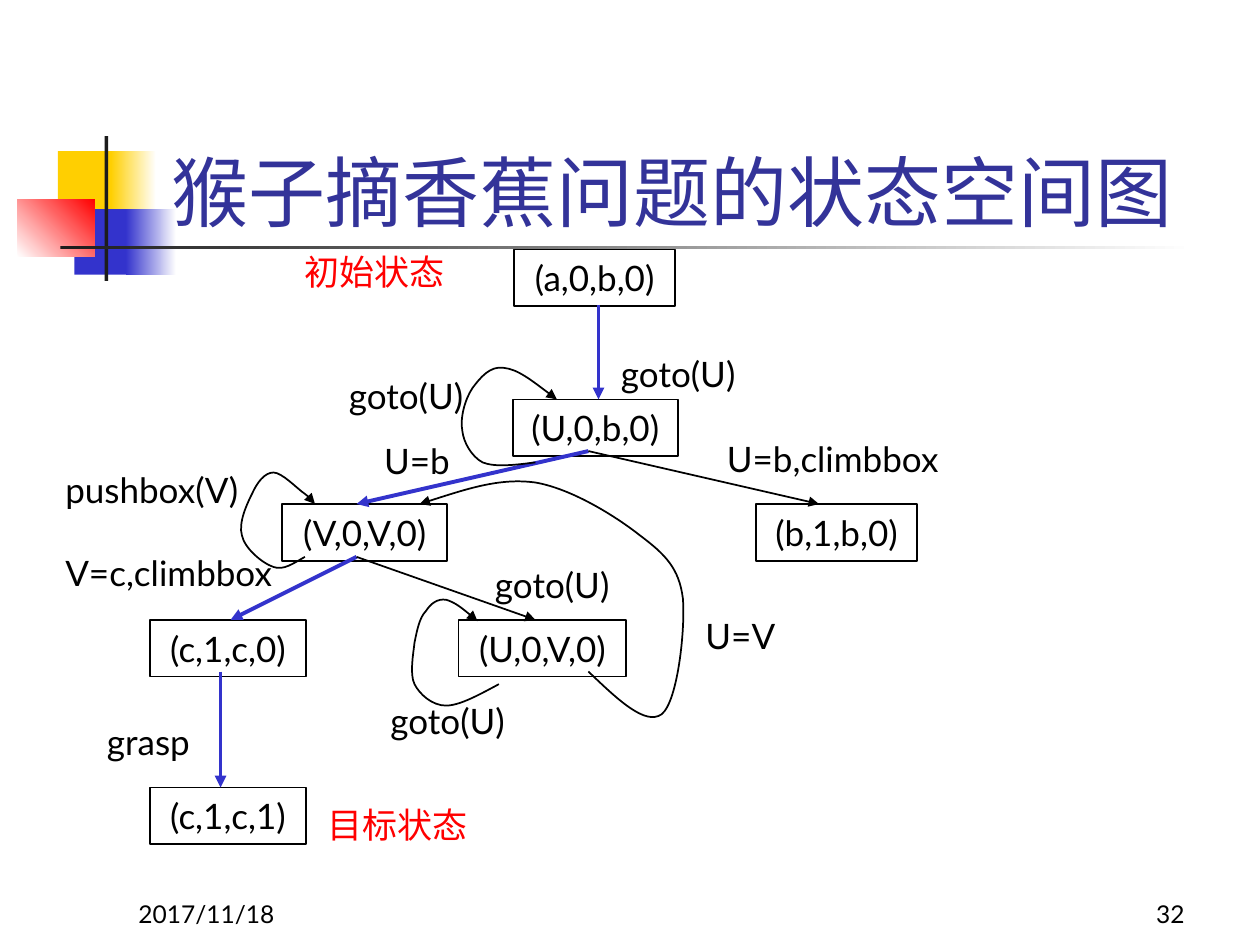
from lxml.etree import SubElement
from pptx import Presentation
from pptx.dml.color import RGBColor
from pptx.enum.shapes import MSO_CONNECTOR, MSO_SHAPE
from pptx.enum.text import MSO_ANCHOR, MSO_AUTO_SIZE, PP_ALIGN
from pptx.oxml.ns import qn
from pptx.util import Cm, Pt

FONT = "Lato"
BLACK = RGBColor(0x00, 0x00, 0x00)
WHITE = RGBColor(0xFF, 0xFF, 0xFF)
RED = RGBColor(0xFF, 0x00, 0x00)
BLUE = RGBColor(0x33, 0x33, 0xCC)
NAVY = RGBColor(0x33, 0x33, 0x99)
YELLOW = RGBColor(0xFF, 0xCF, 0x01)
CHARCOAL = RGBColor(0x1C, 0x1C, 0x1C)

# Blocks of the title ornament: left, top, width, height, colours, angle
ORNAMENT = [
    (0.32, 0.12, 0.48, 0.52, (YELLOW,), 0),
    (0.74, 0.12, 0.36, 0.52, (YELLOW, WHITE), 0),
    (0.45, 0.58, 0.46, 0.52, (BLUE,), 0),
    (0.86, 0.58, 0.4, 0.52, (BLUE, WHITE), 0),
    (0, 0.5, 0.61, 0.46, (WHITE, RED), 45),
    (0.69, 0, 0.03, 1.15, (CHARCOAL,), 0),
    (0.34, 0.87, 9, 0.03, (CHARCOAL, WHITE), 0),
]

# States of the graph: text, left, top, width
NODE_HEIGHT = 0.45
NODES = [
    ("(a,0,b,0)", 4.08, -0.02, 1.28),
    ("(U,0,b,0)", 4.07, 1.17, 1.31),
    ("(V,0,V,0)", 2.24, 2, 1.31),
    ("(b,1,b,0)", 6, 2, 1.28),
    ("(c,1,c,0)", 1.19, 2.92, 1.24),
    ("(U,0,V,0)", 3.64, 2.92, 1.33),
    ("(c,1,c,1)", 1.19, 4.25, 1.24),
]

# Straight moves: start, end; the first group leads to the goal
GOAL_MOVES = [
    ((4.75, 0.42), (4.75, 1.17)),
    ((4.67, 1.58), (2.83, 2)),
    ((2.83, 2.42), (1.83, 2.92)),
    ((1.75, 3.33), (1.75, 4.25)),
]
SIDE_MOVES = [
    ((4.67, 1.58), (6.5, 2)),
    ((2.83, 2.42), (4.25, 2.92)),
]

# Curved moves: a start, then three Bézier points for each segment
CURVED_MOVES = [
    [(4.25, 1.67), (4.09, 1.69), (3.93, 1.71), (3.83, 1.67),
     (3.74, 1.62), (3.68, 1.51), (3.67, 1.42),
     (3.65, 1.32), (3.69, 1.17), (3.75, 1.08),
     (3.81, 1), (3.89, 0.9), (4, 0.92),
     (4.11, 0.93), (4.26, 1.05), (4.42, 1.17)],
    [(2.42, 2.42), (2.33, 2.47), (2.25, 2.53), (2.17, 2.5),
     (2.08, 2.47), (1.94, 2.35), (1.92, 2.25),
     (1.89, 2.15), (1.96, 2), (2, 1.92),
     (2.04, 1.83), (2.1, 1.75), (2.17, 1.75),
     (2.24, 1.75), (2.36, 1.88), (2.42, 1.92),
     (2.47, 1.96), (2.49, 1.98), (2.5, 2)],
    [(3.96, 3.43), (3.81, 3.51), (3.65, 3.6), (3.54, 3.6),
     (3.43, 3.6), (3.33, 3.51), (3.29, 3.43),
     (3.25, 3.35), (3.28, 3.19), (3.29, 3.1),
     (3.31, 3), (3.33, 2.9), (3.38, 2.85),
     (3.42, 2.79), (3.47, 2.75), (3.54, 2.76),
     (3.61, 2.78), (3.7, 2.85), (3.79, 2.93)],
    [(4.67, 3.33), (4.9, 3.55), (5.12, 3.76), (5.25, 3.67),
     (5.38, 3.57), (5.44, 2.99), (5.42, 2.75),
     (5.39, 2.51), (5.28, 2.4), (5.08, 2.25),
     (4.89, 2.1), (4.54, 1.88), (4.25, 1.83),
     (3.96, 1.79), (3.65, 1.9), (3.33, 2)],
]

# Labels: text, left, top, width, colour
LABEL_HEIGHT = 0.43
LABELS = [
    ("goto(U)", 4.83, 0.75, 1.25, BLACK),
    ("U=b,climbbox", 5.67, 1.42, 2.25, BLACK),
    ("U=b", 2.95, 1.44, 0.75, BLACK),
    ("goto(U)", 3.83, 2.42, 1.75, BLACK),
    ("V=c,climbbox", 0.42, 2.33, 2.5, BLACK),
    ("grasp", 0.75, 3.67, 1.08, BLACK),
    ("目标状态", 2.5, 4.33, 1.83, RED),
    ("初始状态", 2.32, -0.06, 1.42, RED),
    ("goto(U)", 2.67, 0.92, 1.42, BLACK),
    ("goto(U)", 3, 3.5, 1.33, BLACK),
    ("pushbox(V)", 0.42, 1.67, 1.67, BLACK),
    ("U=V", 5.5, 2.83, 1.08, BLACK),
]


def inch(value):
    return Cm(value * 2.54)


def place(box, left, top, width, height):
    """Turn a part's place within a box into slide lengths."""
    return inch(box[0] + left), inch(box[1] + top), inch(width), inch(height)


def write(shape, text, size, color, align=PP_ALIGN.LEFT, anchor=MSO_ANCHOR.TOP, wrap=True):
    frame = shape.text_frame
    frame.auto_size = MSO_AUTO_SIZE.NONE
    frame.word_wrap = wrap
    frame.vertical_anchor = anchor
    para = frame.paragraphs[0]
    para.alignment = align
    para.space_before = Pt(0)
    span = para.add_run()
    span.text = text
    span.font.name = FONT
    span.font.size = Pt(size)
    span.font.color.rgb = color


def style_arrow(shape, color, width):
    shape.line.color.rgb = color
    shape.line.width = Pt(width)
    SubElement(shape.line._get_or_add_ln(), qn("a:tailEnd"), type="triangle")


def add_ornament(page, box):
    for left, top, width, height, colors, angle in ORNAMENT:
        block = page.shapes.add_shape(MSO_SHAPE.RECTANGLE, *place(box, left, top, width, height))
        block.shadow.inherit = False
        block.line.fill.background()
        if len(colors) == 1:
            block.fill.solid()
            block.fill.fore_color.rgb = colors[0]
            continue
        block.fill.gradient()
        block.fill.gradient_angle = angle
        for stop, color, position in zip(block.fill.gradient_stops, colors, (0, 1)):
            stop.color.rgb = color
            stop.position = position


def add_title(page, box):
    title = page.shapes.title
    title.left, title.top, title.width, title.height = place(box, 0, 0, *box[2:])
    write(title, "猴子摘香蕉问题的状态空间图", 44, NAVY, anchor=MSO_ANCHOR.BOTTOM)


def add_footer(page, box):
    width = 2.08
    for text, left, align in (("2017/11/18", 0, PP_ALIGN.LEFT),
                              ("32", box[2] - width, PP_ALIGN.RIGHT)):
        note = page.shapes.add_textbox(*place(box, left, 0, width, box[3]))
        write(note, text, 14, BLACK, align, MSO_ANCHOR.BOTTOM)


def add_straight_arrow(page, box, start, end, color, width):
    ends = [inch(origin + value) for point in (start, end) for origin, value in zip(box, point)]
    arrow = page.shapes.add_connector(MSO_CONNECTOR.STRAIGHT, *ends)
    style_arrow(arrow, color, width)
    SubElement(arrow.element.spPr, qn("a:effectLst"))


def add_curved_arrow(page, box, points):
    spots = [(inch(box[0] + x), inch(box[1] + y)) for x, y in points]
    builder = page.shapes.build_freeform(*spots[0])
    builder.add_line_segments(spots[1:], close=False)
    curve = builder.convert_to_shape()
    curve.shadow.inherit = False
    curve.fill.background()
    style_arrow(curve, BLACK, 1)
    # Join every three straight steps into one Bézier segment
    outline = next(curve.element.iter(qn("a:path")))
    steps = outline.findall(qn("a:lnTo"))
    for first in range(0, len(steps), 3):
        segment = SubElement(outline, qn("a:cubicBezTo"))
        for step in steps[first:first + 3]:
            segment.append(step[0])
            outline.remove(step)


def add_state_graph(page, box):
    # States
    for text, left, top, width in NODES:
        node = page.shapes.add_shape(MSO_SHAPE.RECTANGLE, *place(box, left, top, width, NODE_HEIGHT))
        node.shadow.inherit = False
        node.fill.background()
        node.line.color.rgb = BLACK
        node.line.width = Pt(1)
        write(node, text, 20, BLACK, PP_ALIGN.CENTER, MSO_ANCHOR.MIDDLE, wrap=False)
    # Moves
    for moves, color, width in ((GOAL_MOVES, BLUE, 2.25), (SIDE_MOVES, BLACK, 1)):
        for start, end in moves:
            add_straight_arrow(page, box, start, end, color, width)
    for points in CURVED_MOVES:
        add_curved_arrow(page, box, points)
    # Labels
    for text, left, top, width, color in LABELS:
        label = page.shapes.add_textbox(*place(box, left, top, width, LABEL_HEIGHT))
        write(label, text, 20, color)


def main():
    deck = Presentation()
    deck.slide_width, deck.slide_height = Cm(25.4), Cm(19.05)
    page = deck.slides.add_slide(deck.slide_layouts[5])
    add_ornament(page, (0.14, 1.08))
    add_title(page, (1.26, 0.68, 8.52, 1.25))
    add_state_graph(page, (0, 2))
    add_footer(page, (1, 6.92, 8.5, 0.5))
    deck.save("out.pptx")


if __name__ == "__main__":
    main()
